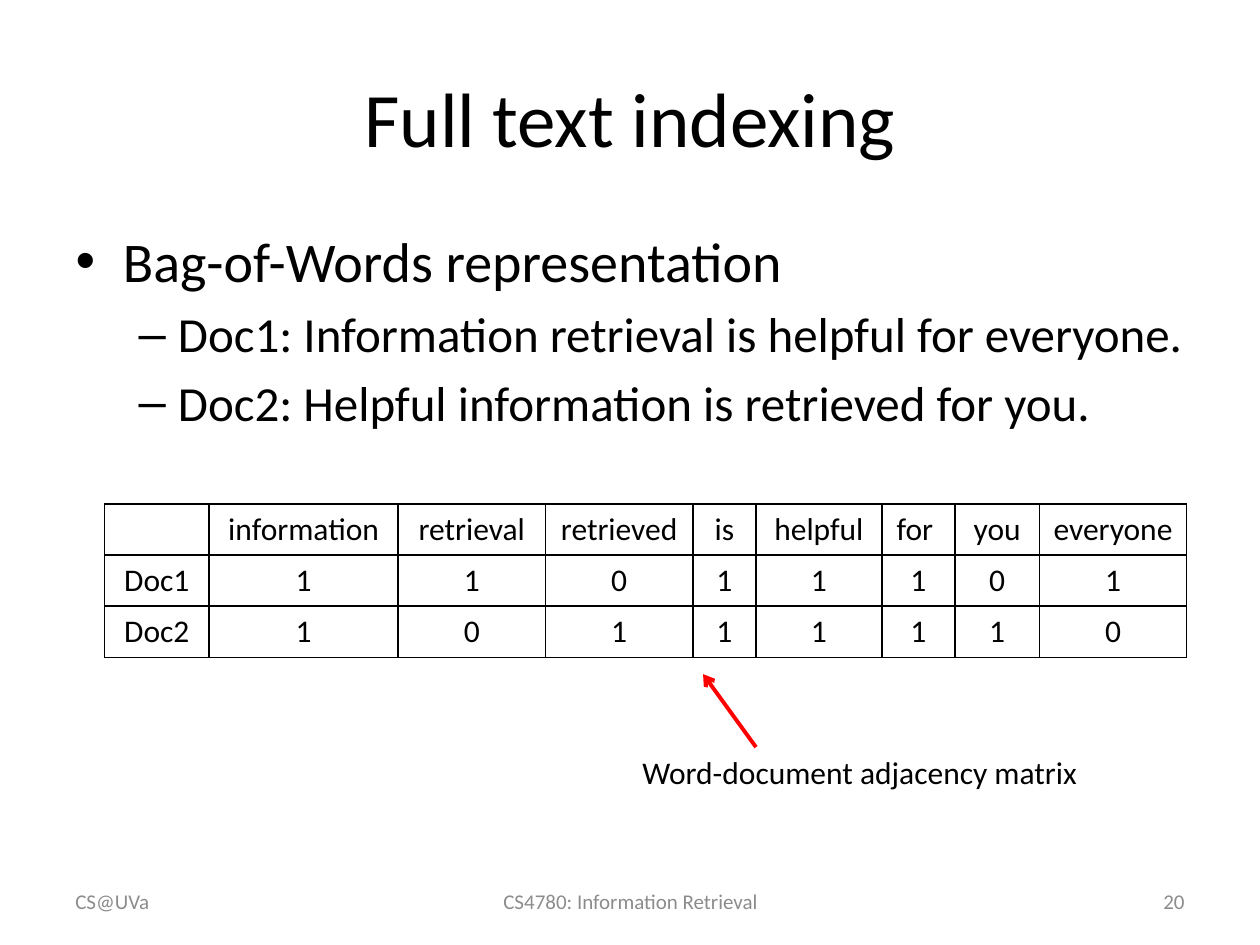
"""Build the full text indexing slide with its word-document matrix."""
from lxml import etree
from pptx import Presentation
from pptx.dml.color import RGBColor
from pptx.enum.shapes import MSO_CONNECTOR
from pptx.enum.text import MSO_ANCHOR, PP_ALIGN
from pptx.oxml.ns import qn
from pptx.util import Inches, Pt

LEFT, CENTER, RIGHT = PP_ALIGN.LEFT, PP_ALIGN.CENTER, PP_ALIGN.RIGHT
TOP, MIDDLE = MSO_ANCHOR.TOP, MSO_ANCHOR.MIDDLE
STRAIGHT = MSO_CONNECTOR.STRAIGHT
BLACK = RGBColor(0x00, 0x00, 0x00)
GRAY = RGBColor(0x8C, 0x8C, 0x8C)
RED = RGBColor(0xFF, 0x00, 0x00)
FONT = "Calibri"

BULLETS = [
    ("Bag-of-Words representation", 0, 32),
    ("Doc1: Information retrieval is helpful for everyone.", 1, 28),
    ("Doc2: Helpful information is retrieved for you.", 1, 28),
]
MATRIX = [
    ["", "information", "retrieval", "retrieved", "is", "helpful", "for ", "you", "everyone"],
    ["Doc1", "1", "1", "0", "1", "1", "1", "0", "1"],
    ["Doc2", "1", "0", "1", "1", "1", "1", "1", "0"],
]
COLUMN_WIDTHS = [0.83, 1.5, 1.17, 1.17, 0.5, 1, 0.58, 0.67, 1.17]
ROW_HEIGHT = 0.4
FOOTERS = [
    ("CS@UVa", 0.5, 2.33, LEFT),
    ("CS4780: Information Retrieval", 3.42, 3.17, CENTER),
    ("20", 7.17, 2.33, RIGHT),
]


def write_text(paragraph, text, size=18, color=BLACK, align=LEFT, level=0):
    """Put formatted text into a paragraph."""
    paragraph.text = text
    paragraph.level = level
    paragraph.alignment = align
    paragraph.font.name = FONT
    paragraph.font.size = Pt(size)
    paragraph.font.bold = False
    paragraph.font.color.rgb = color


def place(shape, left, top, width, height):
    """Move and size a shape, in inches."""
    shape.left, shape.top = Inches(left), Inches(top)
    shape.width, shape.height = Inches(width), Inches(height)


def add_label(slide, text, left, top, width, height, anchor=TOP, **text_format):
    """Add a wrapped text box with one paragraph."""
    box = slide.shapes.add_textbox(
        Inches(left), Inches(top), Inches(width), Inches(height))
    box.text_frame.word_wrap = True
    box.text_frame.vertical_anchor = anchor
    write_text(box.text_frame.paragraphs[0], text, **text_format)


def fill_title_and_body(slide):
    """Fill the title and the bulleted list."""
    title, body = slide.placeholders
    place(title, 0.5, 0.3, 9, 1.25)
    write_text(title.text_frame.paragraphs[0], "Full text indexing", size=44, align=CENTER)
    place(body, 0.5, 1.75, 9, 4.95)
    frame = body.text_frame
    for index, (text, level, size) in enumerate(BULLETS):
        paragraph = frame.add_paragraph() if index else frame.paragraphs[0]
        write_text(paragraph, text, size=size, level=level)


def add_borders(cell):
    """Draw a thin black line on every side of a cell."""
    properties = cell._tc.get_or_add_tcPr()
    for side in ("a:lnL", "a:lnR", "a:lnT", "a:lnB"):
        line = etree.SubElement(properties, qn(side), w=str(Pt(1)))
        fill = etree.SubElement(line, qn("a:solidFill"))
        etree.SubElement(fill, qn("a:srgbClr"), val=str(BLACK))


def add_matrix(slide, left, top):
    """Add the word-document table."""
    table = slide.shapes.add_table(
        len(MATRIX), len(COLUMN_WIDTHS), Inches(left), Inches(top),
        Inches(sum(COLUMN_WIDTHS)), Inches(ROW_HEIGHT * len(MATRIX))).table
    table.first_row = False
    table.horz_banding = False
    for column, width in zip(table.columns, COLUMN_WIDTHS):
        column.width = Inches(width)
    for row, texts in zip(table.rows, MATRIX):
        row.height = Inches(ROW_HEIGHT)
        for cell, text in zip(row.cells, texts):
            add_borders(cell)
            cell.fill.background()
            write_text(cell.text_frame.paragraphs[0], text, align=CENTER)


def add_arrow(slide, start, end):
    """Add a red arrow from start to end."""
    arrow = slide.shapes.add_connector(
        STRAIGHT, *(Inches(value) for value in (*start, *end)))
    arrow.line.color.rgb = RED
    arrow.line.width = Pt(2.25)
    etree.SubElement(arrow.line._get_or_add_ln(), qn("a:tailEnd"), type="arrow")
    etree.SubElement(arrow._element.spPr, qn("a:effectLst"))


def main():
    """Build and save the slide."""
    presentation = Presentation()
    presentation.slide_width, presentation.slide_height = Inches(10), Inches(7.5)
    slide = presentation.slides.add_slide(presentation.slide_layouts[1])
    fill_title_and_body(slide)
    add_matrix(slide, 0.83, 4)
    add_label(slide, "Word-document adjacency matrix", 5, 5.93, 3.92, 0.4)
    add_arrow(slide, (6, 5.93), (5.58, 5.35))
    for text, left, width, align in FOOTERS:
        add_label(slide, text, left, 6.95, width, 0.4,
                  anchor=MIDDLE, size=12, color=GRAY, align=align)
    presentation.save("out.pptx")


if __name__ == "__main__":
    main()
